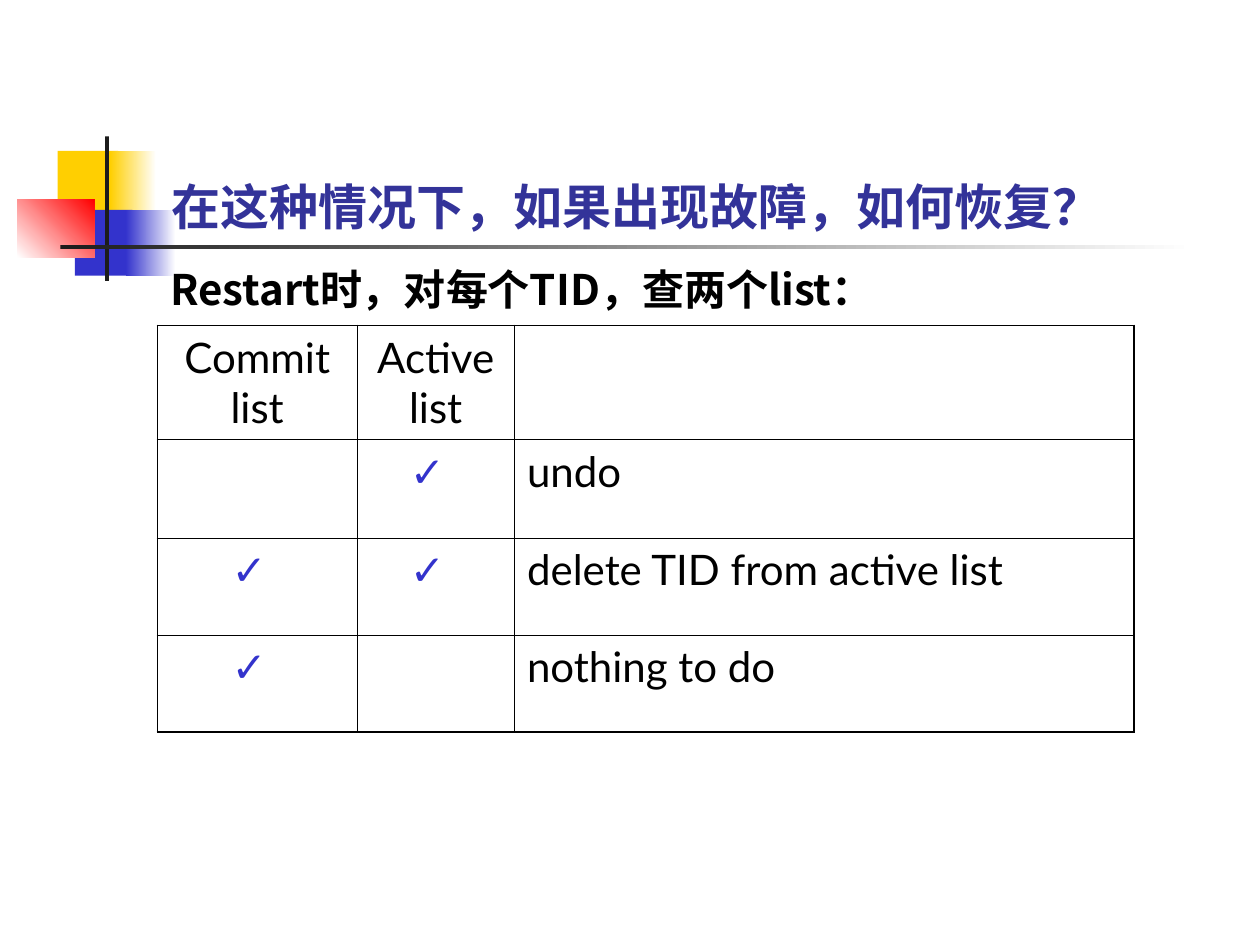
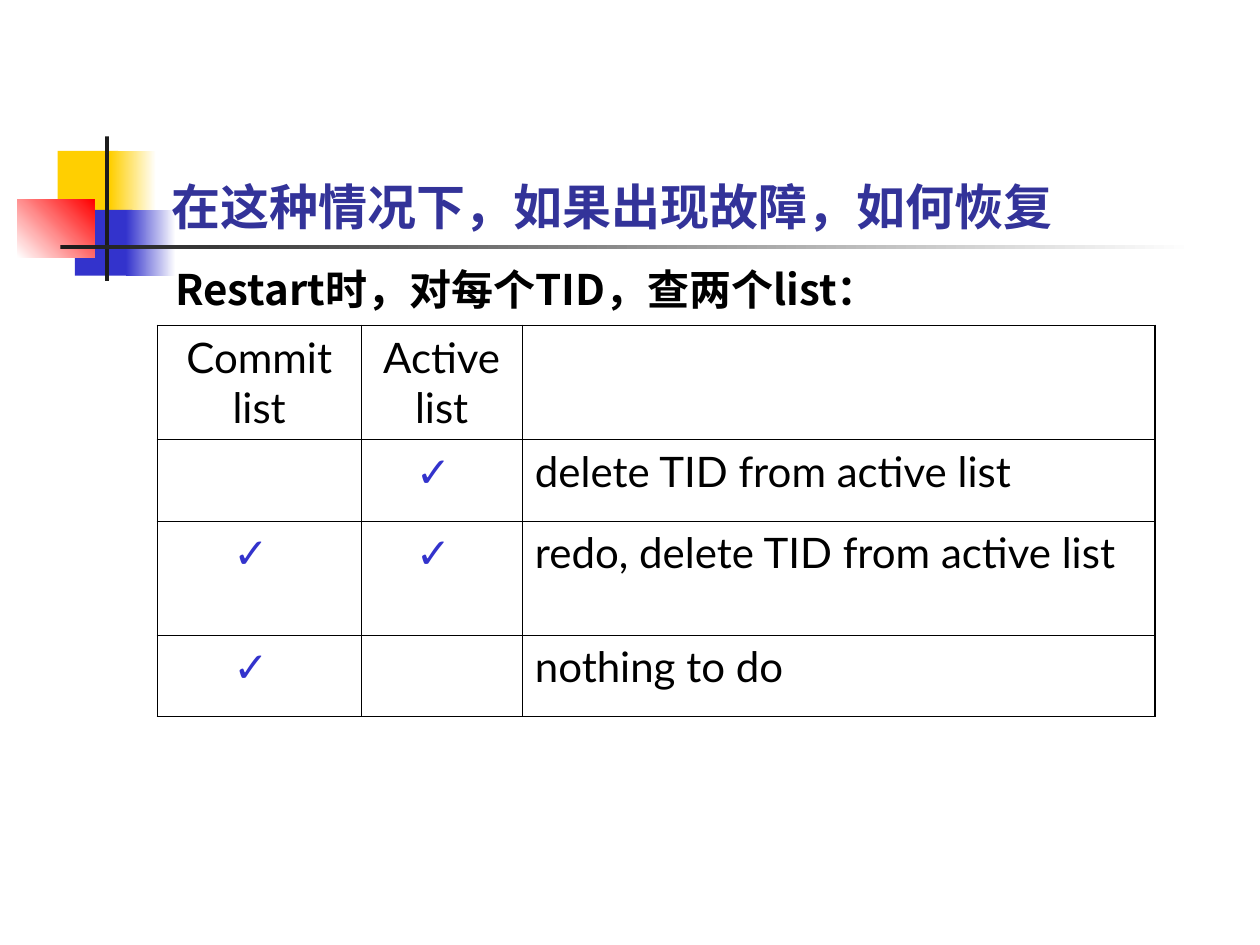
"""Build two slides on restart recovery with commit and active lists."""
from lxml.etree import SubElement as Sub
from pptx import Presentation as Deck
from pptx.dml.color import RGBColor as RGB
from pptx.enum.shapes import MSO_SHAPE as Kind
from pptx.enum.text import MSO_ANCHOR as Anchor, MSO_AUTO_SIZE as Fit, PP_ALIGN as Align
from pptx.oxml.ns import qn
from pptx.util import Pt

PX = 9525
INK, BLUE, NAVY, GOLD = "000000", "3333CC", "333399", "FFCF01"
RED, DARK, WHITE = "FF0000", "1C1C1C", "FFFFFF"
LATIN, ROMAN, HAN = "Lato", "Times New Roman", "Noto Sans CJK SC"
TICK = "✓"
LEAD = "Restart时，对每个TID，查两个list："
HEAD = ["Commit list", "Active list", ""]


def tint(code):
    """Turn a hex string into a colour."""
    return RGB.from_string(code)


def style(para, text, face, size, code, bold=False, hang=0, mark="", **form):
    """Write one run in a paragraph with its indent, bullet and format."""
    props = para._p.get_or_add_pPr()
    props.set("marL", str(hang * PX))
    props.set("indent", str(-hang * PX))
    if mark:
        Sub(Sub(props, qn("a:buClr")), qn("a:srgbClr"), val=BLUE)
        Sub(props, qn("a:buFont"), typeface=LATIN)
        Sub(props, qn("a:buChar"), char=mark)
    else:
        Sub(props, qn("a:buNone"))
    for key, val in form.items():
        setattr(para, key, val)
    run = para.add_run()
    run.text = text
    run.font.color.rgb = tint(code)
    for key, val in {"name": face, "size": Pt(size), "bold": bold}.items():
        setattr(run.font, key, val)
    Sub(run.font._element, qn("a:ea"), typeface=HAN)


deck = Deck()
deck.slide_width, deck.slide_height = 960 * PX, 720 * PX
layout = deck.slide_layouts[1]

pages = [
    {"title": "在这种情况下，如果出现故障，如何恢复？", "face": LATIN, "left": 120,
     "cols": [152, 120, 472], "rows": [87, 75, 74, 74],
     "acts": ["undo", "delete TID from active list", "nothing to do"]},
    {"title": "在这种情况下，如果出现故障，如何恢复", "face": ROMAN, "left": 124,
     "cols": [155, 123, 482], "rows": [87, 62, 87, 62],
     "acts": ["delete TID from active list", "redo, delete TID from active list",
              "nothing to do"]},
]
marks = [["", TICK], [TICK, TICK], [TICK, ""]]

for page in pages:
    slide = deck.slides.add_slide(layout)
    title, body = slide.placeholders
    boxes = [(title, (121, 64, 818, 120), Anchor.BOTTOM),
             (body, (page["left"], 200, 816, 432), Anchor.TOP)]
    for box, place, anchor in boxes:
        for key, val in zip(("left", "top", "width", "height"), place):
            setattr(box, key, val * PX)
        frame = box.text_frame
        for key, val in {"vertical_anchor": anchor, "auto_size": Fit.NONE,
                         "word_wrap": True}.items():
            setattr(frame, key, val)

    style(title.text_frame.paragraphs[0], page["title"], page["face"], 28, NAVY, True,
          alignment=Align.LEFT)
    style(body.text_frame.paragraphs[0], LEAD, HAN, 24, INK, True, 36,
          line_spacing=0.9, space_before=Pt(0))

    cols, rows = page["cols"], page["rows"]
    grid = slide.shapes.add_table(len(rows), len(cols), 120 * PX, 248 * PX,
                                  sum(cols) * PX, sum(rows) * PX).table
    grid.first_row = grid.horz_banding = False
    for col, width in zip(grid.columns, cols):
        col.width = width * PX
    for row, height in zip(grid.rows, rows):
        row.height = height * PX
    texts = [HEAD] + [pair + [act] for pair, act in zip(marks, page["acts"])]
    for r, line in enumerate(texts):
        for c, text in enumerate(line):
            cell = grid.cell(r, c)
            props = cell._tc.get_or_add_tcPr()
            edges = {"lnL": c == 0, "lnR": c == len(cols) - 1,
                     "lnT": r == 0, "lnB": r == len(rows) - 1}
            for side, outer in edges.items():
                edge = Sub(props, qn(f"a:{side}"), w=str(Pt(1.08 if outer else 0.45)))
                Sub(Sub(edge, qn("a:solidFill")), qn("a:srgbClr"), val=INK)
            cell.fill.background()
            para = cell.text_frame.paragraphs[0]
            if text == TICK:
                style(para, " ", LATIN, 24, BLUE, hang=31, mark=TICK, alignment=Align.CENTER)
            elif text:
                style(para, text, LATIN, 24, INK,
                      alignment=Align.LEFT if c == 2 else Align.CENTER)

decor = [
    (44, 115, 46, 50, [GOLD], 0),
    (84, 115, 35, 50, [GOLD, WHITE], 0),
    (57, 160, 44, 50, [BLUE], 0),
    (96, 160, 38, 50, [BLUE, WHITE], 0),
    (13, 152, 59, 44, [WHITE, RED], 45),
    (80, 104, 3, 110, [DARK], 0),
    (46, 187, 864, 3, [DARK, WHITE], 0),
]
for num, (left, top, width, height, codes, angle) in enumerate(decor, 20):
    shape = slide.shapes.add_shape(Kind.RECTANGLE, left * PX, top * PX, width * PX, height * PX)
    shape.shadow.inherit = False
    shape.line.fill.background()
    if len(codes) == 1:
        shape.fill.solid()
        shape.fill.fore_color.rgb = tint(codes[0])
    else:
        shape.fill.gradient()
        shape.fill.gradient_angle = angle
        for stop, code, pos in zip(shape.fill.gradient_stops, codes, (0, 1)):
            stop.color.rgb = tint(code)
            stop.position = pos
    shape.element.xpath("./p:nvSpPr/p:cNvPr")[0].set("id", str(num))
    layout.shapes.element.append(shape.element)

deck.save("out.pptx")
